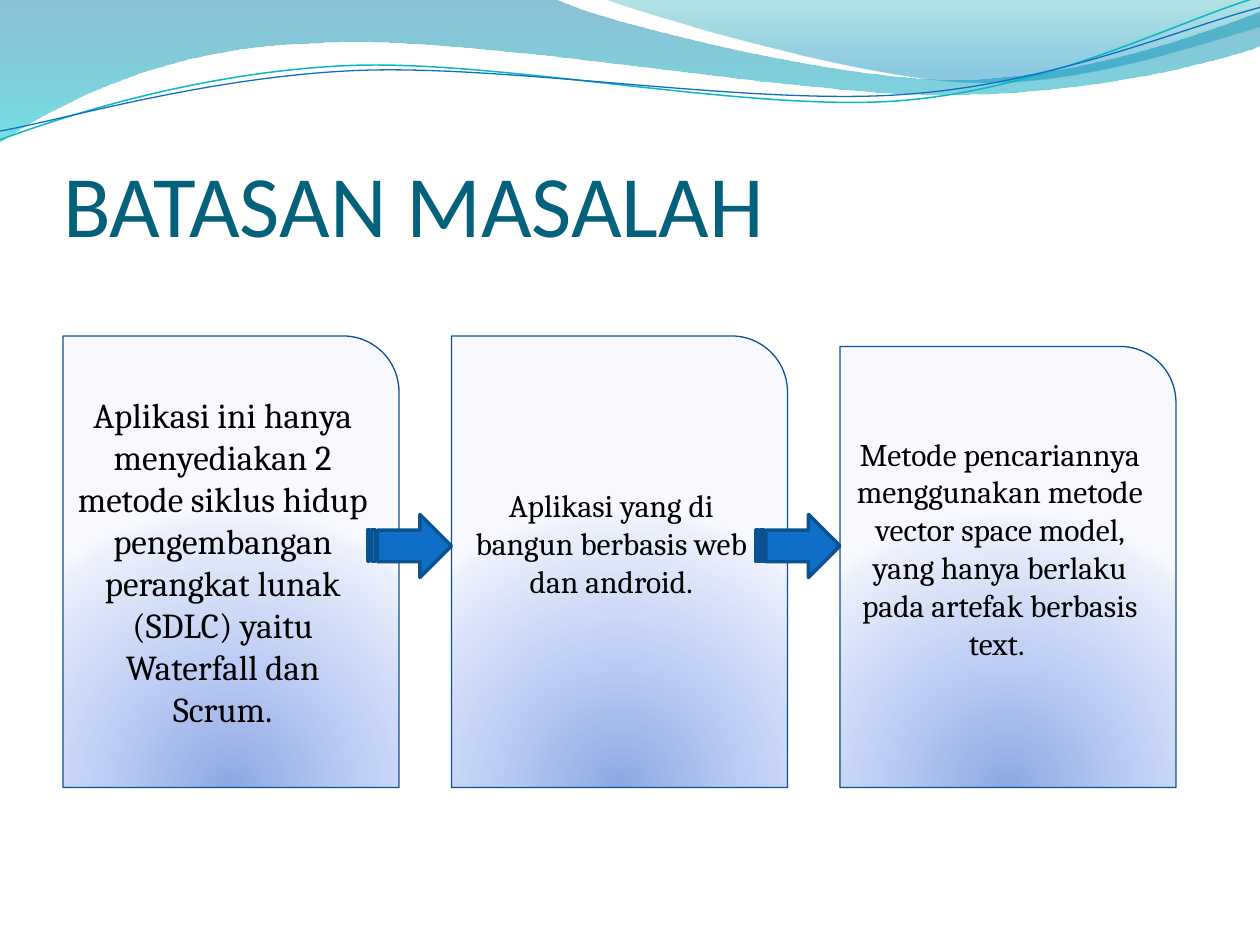
from math import cos, radians, sin

from pptx import Presentation
from pptx.dml.color import RGBColor
from pptx.enum.shapes import MSO_SHAPE as Shape
from pptx.enum.text import MSO_ANCHOR as Anchor, MSO_AUTO_SIZE as AutoSize, PP_ALIGN as Align
from pptx.oxml import parse_xml
from pptx.oxml.ns import nsdecls, qn
from pptx.util import Inches, Pt

COLS, ROWS = 120, 90
DOWN = '<a:lin ang="5400000" scaled="1"/>'
GLOW = ('<a:path path="circle">'
        '<a:fillToRect l="50000" t="130000" r="50000" b="-30000"/></a:path>')


def rgb(value):
    return RGBColor.from_string(value)


def turn(point, center, degrees):
    """Turn a point clockwise around a center."""
    a = radians(degrees)
    x, y = point[0] - center[0], point[1] - center[1]
    return (center[0] + x * cos(a) - y * sin(a), center[1] + x * sin(a) + y * cos(a))


class Deck:
    title_font, body_font = "Calibri", "Cambria"
    title_color, text_color = "04617B", "000000"
    card_line, arrow_fill, arrow_line = "095295", "0F6FC6", "0B5292"
    card_stops = [(0, "8DA8E3", 100), (43, "BBCBF3", 100),
                  (93, "EAEFFB", 100), (100, "F7F9FF", 100)]
    ripple_tilt = -2.7

    def __init__(self, prs):
        self.prs = prs
        self.s = prs.slides.add_slide(prs.slide_layouts[5])

    def box(self, col, row, cols, rows):
        w, h = self.prs.slide_width, self.prs.slide_height
        return (round(w * col / COLS), round(h * row / ROWS),
                round(w * cols / COLS), round(h * rows / ROWS))

    def gradient(self, sp, stops, direction):
        sp.fill.gradient()
        old = sp._element.spPr.find(qn("a:gradFill"))
        gs = "".join(f'<a:gs pos="{pos * 1000}"><a:srgbClr val="{color}">'
                     f'<a:alpha val="{alpha * 1000}"/></a:srgbClr></a:gs>'
                     for pos, color, alpha in stops)
        old.getparent().replace(old, parse_xml(
            f'<a:gradFill {nsdecls("a")} rotWithShape="1">'
            f'<a:gsLst>{gs}</a:gsLst>{direction}</a:gradFill>'))

    def outline(self, sp, color, width):
        sp.line.color.rgb = rgb(color)
        sp.line.width = Pt(width)

    def freeform(self, segments, close):
        """Each segment lists points in inches: one for a line, three for a Bezier."""
        emu = [(Inches(x), Inches(y)) for seg in segments for x, y in seg]
        fb = self.s.shapes.build_freeform(*emu[0])
        fb.add_line_segments(emu[1:], close=close)
        sp = fb.convert_to_shape()
        sp.shadow.inherit = False
        # Join the three lines of each Bezier into one curve
        lines = iter(list(sp._element.iter(qn("a:lnTo"))))
        for seg in segments[1:]:
            first, *others = [next(lines) for _ in seg]
            if others:
                bezier = parse_xml(f'<a:cubicBezTo {nsdecls("a")}/>')
                first.addprevious(bezier)
                for line in (first, *others):
                    bezier.append(line[0])
                    line.getparent().remove(line)
        return sp

    def wave(self, segments, stops):
        sp = self.freeform(segments, True)
        self.gradient(sp, stops, DOWN)
        sp.line.fill.background()

    def ripple(self, segments, center, color, width):
        level = [[turn(pt, center, -self.ripple_tilt) for pt in seg] for seg in segments]
        sp = self.freeform(level, False)
        sp.rotation = self.ripple_tilt
        sp.fill.background()
        self.outline(sp, color, width)

    def title(self, text, *cell):
        sp = self.s.shapes.title
        sp.left, sp.top, sp.width, sp.height = self.box(*cell)
        self.s.shapes._spTree.append(sp._element)  # in front of the waves
        tf = sp.text_frame
        tf.text = text
        tf.auto_size = AutoSize.NONE
        tf.vertical_anchor = Anchor.BOTTOM
        tf.margin_left = tf.margin_right = tf.margin_bottom = 0
        p = tf.paragraphs[0]
        p.alignment = Align.LEFT
        self.font(p, self.title_font, 50, self.title_color)

    def font(self, p, name, size, color):
        p.font.name, p.font.size = name, Pt(size)
        p.font.color.rgb = rgb(color)

    def card(self, text, size, space_below, *cell):
        sp = self.s.shapes.add_shape(Shape.ROUND_1_RECTANGLE, *self.box(*cell))
        sp.shadow.inherit = False
        self.gradient(sp, self.card_stops, GLOW)
        self.outline(sp, self.card_line, 0.75)
        tf = sp.text_frame
        tf.text = text
        tf.word_wrap = True
        tf.vertical_anchor = Anchor.MIDDLE
        tf.margin_bottom = Inches(space_below)
        p = tf.paragraphs[0]
        p.alignment = Align.CENTER
        self.font(p, self.body_font, size, self.text_color)

    def arrow(self, *cell):
        sp = self.s.shapes.add_shape(Shape.STRIPED_RIGHT_ARROW, *self.box(*cell))
        sp.shadow.inherit = False
        sp.fill.solid()
        sp.fill.fore_color.rgb = rgb(self.arrow_fill)
        self.outline(sp, self.arrow_line, 2)


def main():
    prs = Presentation()
    prs.slide_width, prs.slide_height = Inches(10), Inches(7.5)
    deck = Deck(prs)

    # Waves across the top
    deck.wave([[(0, 0)], [(4.4, -0.01)],
               [(4.76, 0.17), (6.64, 0.63), (7.58, 0.63)],
               [(8.53, 0.63), (9.58, 0.26), (10, 0.09)], [(10.01, 0.36)],
               [(9.83, 0.44), (8.7, 0.76), (7.46, 0.75)],
               [(6.22, 0.75), (3.82, 0.28), (2.57, 0.34)],
               [(1.29, 0.36), (0.46, 0.83), (-0.01, 1.13)]],
              [(0, "0074A1", 45), (100, "00C6CF", 55)])
    deck.wave([[(4.79, -0.01)],
               [(5.09, 0.11), (6.82, 0.62), (7.69, 0.65)],
               [(8.56, 0.69), (9.61, 0.32), (10, 0.21)], [(10, 0)]],
              [(0, "00A1A9", 30), (80, "008BBF", 45)])
    deck.ripple([[(0, 1.11)],
                 [(0.48, 0.93), (1.58, 0.57), (2.77, 0.52)],
                 [(3.95, 0.47), (5.93, 0.89), (7.13, 0.8)],
                 [(8.33, 0.71), (9.38, 0.15), (9.98, -0.02)]],
                (4.99, 0.58), "0AB8BF", 0.85)
    deck.ripple([[(0, 1.04)],
                 [(0.47, 0.96), (1.64, 0.61), (2.83, 0.56)],
                 [(4.03, 0.51), (5.97, 0.84), (7.17, 0.75)],
                 [(8.36, 0.67), (9.41, 0.21), (10, 0.06)]],
                (5, 0.59), "0F6FC6", 0.75)

    deck.title("BATASAN MASALAH", 6, 9.25, 108, 15)

    # Cards share a bottom edge and an even pitch
    left, pitch, width, bottom = 6, 37, 32, 75
    cards = [
        ("Aplikasi ini hanya menyediakan 2 metode siklus hidup pengembangan "
         "perangkat lunak (SDLC) yaitu Waterfall dan Scrum.", 20, 0.05, 32),
        ("Aplikasi yang di bangun berbasis web dan android.", 18, 0.35, 32),
        ("Metode pencariannya menggunakan metode vector space model, yang hanya "
         "berlaku pada artefak berbasis text. ", 18, 0.35, 33),
    ]
    for i, (text, size, space_below, top) in enumerate(cards):
        deck.card(text, size, space_below, left + i * pitch, top, width, bottom - top)

    # Arrows end at the left edge of the next card
    for i in range(1, len(cards)):
        deck.arrow(left + i * pitch - 8, 49, 8, 6)

    prs.save("out.pptx")


if __name__ == "__main__":
    main()
